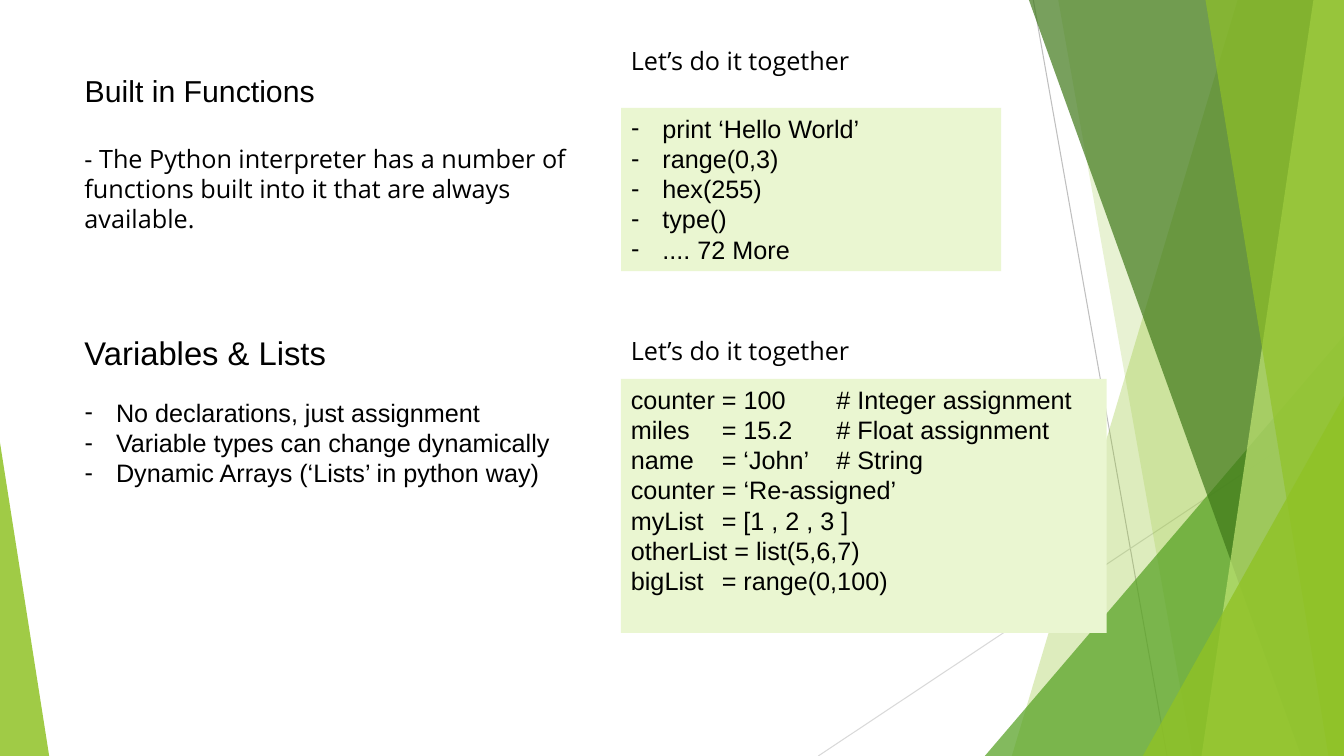
from lxml.etree import SubElement
from pptx import Presentation
from pptx.dml.color import RGBColor
from pptx.enum.shapes import MSO_CONNECTOR, MSO_SHAPE
from pptx.enum.text import MSO_ANCHOR, MSO_AUTO_SIZE, PP_ALIGN
from pptx.oxml.ns import qn
from pptx.util import Cm, Pt

BLACK = RGBColor(0x00, 0x00, 0x00)
PALE_GREEN = RGBColor(0xEA, 0xF6, 0xD1)
LIME = RGBColor(0x90, 0xC2, 0x26)
LIGHT_LIME = RGBColor(0xC0, 0xE4, 0x74)
GREEN = RGBColor(0x54, 0xA0, 0x21)
DARK_GREEN = RGBColor(0x3F, 0x78, 0x19)
GRAY = RGBColor(0xBF, 0xBF, 0xBF)
LIGHT_GRAY = RGBColor(0xD9, 0xD9, 0xD9)

WIDTH, HEIGHT = 33.87, 19.05
LEFT_COLUMN, RIGHT_COLUMN = 1.88, 15.65
LEFT_WIDTH = 12.65

BUILT_INS = ["print ‘Hello World’", "range(0,3)", "hex(255)", "type()", ".... 72 More"]
VARIABLE_RULES = [
    "No declarations, just assignment",
    "Variable types can change dynamically",
    "Dynamic Arrays (‘Lists’ in python way)",
]
ASSIGNMENTS = [
    "counter = 100\t# Integer assignment",
    "miles\t= 15.2\t# Float assignment",
    "name\t= ‘John’\t# String",
    "counter = ‘Re-assigned’",
    "myList\t= [1 , 2 , 3 ]",
    "otherList = list(5,6,7)",
    "bigList\t= range(0,100)",
]
CODE_TABS = (2.29, 5.18)


def paint(shape, color, opacity=100):
    """Fill a shape without outline or shadow."""
    shape.shadow.inherit = False
    shape.line.fill.background()
    shape.fill.solid()
    shape.fill.fore_color.rgb = color
    if opacity < 100:
        tint = shape.fill._xPr.find(qn("a:solidFill"))[0]
        SubElement(tint, qn("a:alpha"), val=str(opacity * 1000))


def place(shape, box):
    """Move a shape to a box given in centimetres."""
    shape.left, shape.top, shape.width, shape.height = map(Cm, box)


def write(shape, lines, size=18, font="Arial", spacing=Pt(21.6)):
    """Write one paragraph per line, from the top left."""
    frame = shape.text_frame
    frame.word_wrap = True
    frame.auto_size = MSO_AUTO_SIZE.NONE
    frame.vertical_anchor = MSO_ANCHOR.TOP
    frame.text = "\n".join(lines)
    for paragraph in frame.paragraphs:
        paragraph.alignment = PP_ALIGN.LEFT
        paragraph.space_before = Pt(0)
        paragraph.line_spacing = spacing
        paragraph.font.size = Pt(size)
        paragraph.font.name = font
        paragraph.font.color.rgb = BLACK


def add_text(slide, box, text, **style):
    """Add a text box holding one paragraph."""
    label = slide.shapes.add_textbox(*map(Cm, box))
    write(label, [text], **style)


def dash_list(body, box, items):
    """Turn a body placeholder into a dashed list."""
    place(body, box)
    write(body, items)
    for paragraph in body.text_frame.paragraphs:
        properties = paragraph._p.get_or_add_pPr()
        properties.set("marL", str(Cm(0.79)))
        properties.set("indent", str(Cm(-0.79)))
        SubElement(properties, qn("a:buChar"), char="-")


def code_block(slide, box, lines):
    """Add a filled panel of code aligned on tab stops."""
    panel = slide.shapes.add_shape(MSO_SHAPE.RECTANGLE, *map(Cm, box))
    paint(panel, PALE_GREEN)
    write(panel, lines)
    for paragraph in panel.text_frame.paragraphs:
        stops = SubElement(paragraph._p.get_or_add_pPr(), qn("a:tabLst"))
        for position in CODE_TABS:
            SubElement(stops, qn("a:tab"), pos=str(Cm(position)), algn="l")


def ray(slide, start, end, color):
    """Draw a thin straight background line."""
    line = slide.shapes.add_connector(MSO_CONNECTOR.STRAIGHT, *map(Cm, start + end))
    line.line.color.rgb = color
    line.line.width = Pt(0.75)
    SubElement(line._element.spPr, qn("a:effectLst"))


def facet(slide, top_x, bottom_x, color, opacity):
    """Draw a full-height facet reaching the right edge."""
    corners = [(WIDTH, 0), (WIDTH, HEIGHT), (bottom_x, HEIGHT)]
    outline = slide.shapes.build_freeform(Cm(top_x), 0)
    outline.add_line_segments([(Cm(x), Cm(y)) for x, y in corners])
    paint(outline.convert_to_shape(), color, opacity)


def wedge(slide, left, top, right, apex, color, opacity):
    """Draw a right triangle standing on the bottom edge."""
    box = (left, top, right - left, HEIGHT - top)
    triangle = slide.shapes.add_shape(MSO_SHAPE.ISOSCELES_TRIANGLE, *map(Cm, box))
    triangle.adjustments[0] = apex
    paint(triangle, color, opacity)


def backdrop(slide):
    """Layer the translucent green facets from back to front."""
    ray(slide, (26.04, 0), (29.41, HEIGHT), GRAY)
    ray(slide, (WIDTH, 10.24), (20.62, HEIGHT), LIGHT_GRAY)
    facet(slide, 31.19, 25.5, LIME, 30)
    facet(slide, 26.67, 30.05, LIME, 20)
    wedge(slide, 24.82, 8.46, WIDTH, 1, GREEN, 72)
    facet(slide, 25.93, 32.79, DARK_GREEN, 70)
    facet(slide, 33.1, 30.28, LIGHT_LIME, 70)
    facet(slide, 30.38, 33.48, LIME, 65)
    wedge(slide, 28.8, 9.98, WIDTH, 1, LIME, 80)
    wedge(slide, 0, 11.15, 1.24, 0, LIME, 85)


def exercise_heading(slide, left, top):
    """Add the heading over a hands-on panel."""
    add_text(slide, (left, top, 8.92, 1.02), "Let’s do it together", font="Open Sans")


def built_in_functions(slide, title, examples, top):
    """Lay out the upper section from its top edge."""
    place(title, (LEFT_COLUMN, top + 0.68, 8.64, 1.6))
    write(title, ["Built in Functions"], size=21.6, spacing=1.0)
    add_text(
        slide,
        (LEFT_COLUMN, top + 2.46, LEFT_WIDTH, 2.57),
        "- The Python interpreter has a number of functions built into it "
        "that are always available.",
        font="Open Sans",
    )
    exercise_heading(slide, RIGHT_COLUMN, top)
    dash_list(examples, (RIGHT_COLUMN, top + 1.7, 9.58, 4.11), BUILT_INS)
    paint_panel(examples)


def paint_panel(body):
    """Give a body placeholder the panel fill."""
    body.fill.solid()
    body.fill.fore_color.rgb = PALE_GREEN


def variables_and_lists(slide, rules, top):
    """Lay out the lower section from its top edge."""
    heading_box = (LEFT_COLUMN, top, 7.47, 1.6)
    add_text(slide, heading_box, "Variables & Lists", size=23.4, spacing=1.0)
    dash_list(rules, (LEFT_COLUMN, top + 1.62, LEFT_WIDTH, 2.57), VARIABLE_RULES)
    exercise_heading(slide, RIGHT_COLUMN, top + 0.07)
    code_block(slide, (RIGHT_COLUMN, top + 1.29, 12.24, 6.4), ASSIGNMENTS)


def main():
    """Build and save the slide."""
    deck = Presentation()
    deck.slide_width, deck.slide_height = Cm(WIDTH), Cm(HEIGHT)
    slide = deck.slides.add_slide(deck.slide_layouts[3])
    title, rules, examples = slide.placeholders
    backdrop(slide)
    built_in_functions(slide, title, examples, 1.02)
    variables_and_lists(slide, rules, 8.26)
    deck.save("out.pptx")


main()
